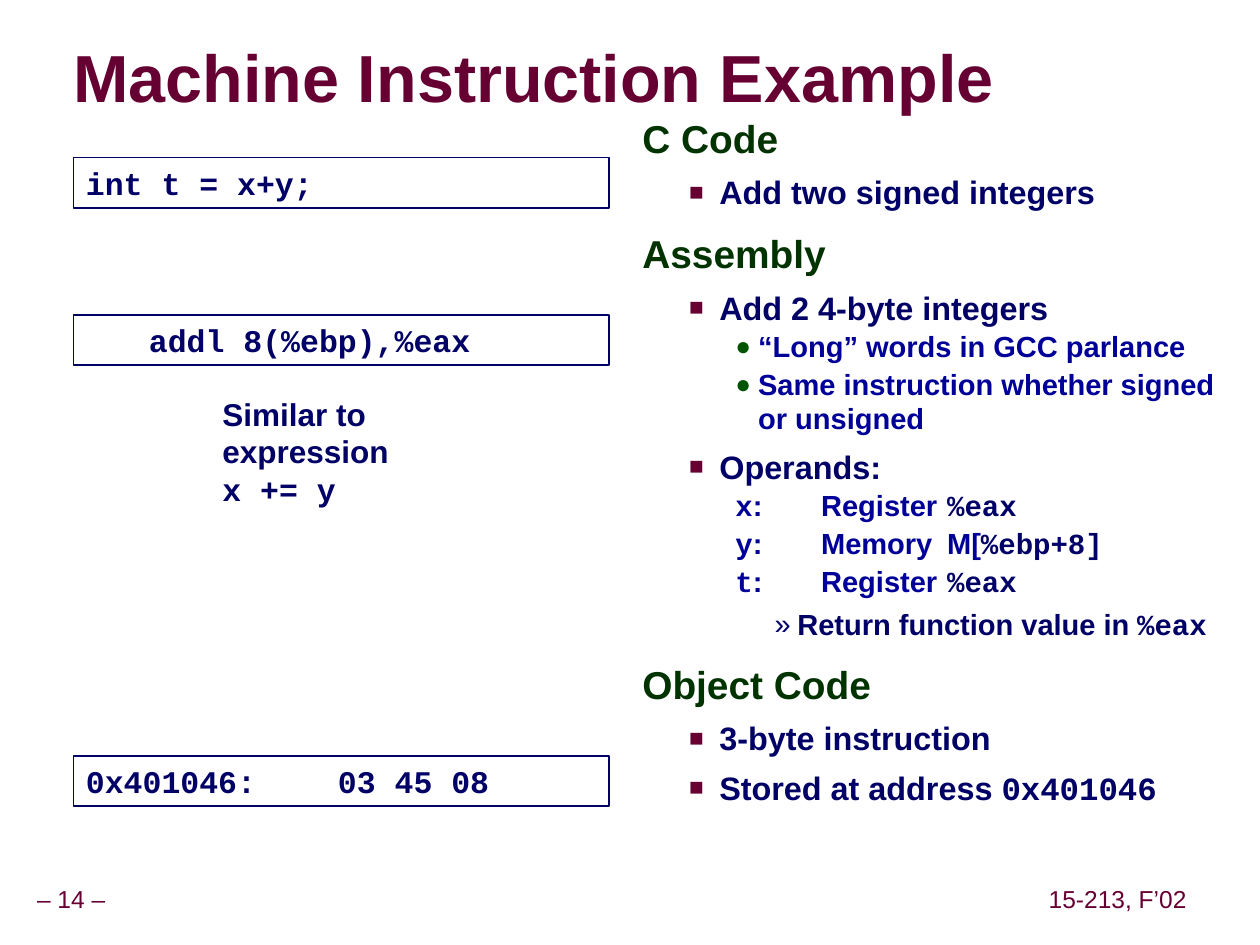
from dataclasses import dataclass

from lxml import etree
from pptx import Presentation
from pptx.dml.color import RGBColor
from pptx.enum.shapes import MSO_SHAPE
from pptx.enum.text import MSO_ANCHOR, PP_ALIGN
from pptx.oxml.ns import qn
from pptx.util import Pt

RECTANGLE = MSO_SHAPE.RECTANGLE
TOP, MIDDLE = MSO_ANCHOR.TOP, MSO_ANCHOR.MIDDLE
LEFT, CENTER = PP_ALIGN.LEFT, PP_ALIGN.CENTER


@dataclass(frozen=True)
class Theme:
    """Fonts, colours and type sizes of the slide."""
    sans: str = "Arial"
    mono: str = "Courier New"
    maroon: str = "660033"
    navy: str = "000066"
    blue: str = "000099"
    dark_green: str = "003300"
    green: str = "005400"
    shadow: str = "969696"
    title: float = 38
    heading: float = 22.2
    point: float = 18.5
    detail: float = 16.6
    code: float = 18
    footer: float = 14


@dataclass(frozen=True)
class Level:
    """Look of one outline level, with lengths in points."""
    size: float
    color: str
    margin: float
    hanging: float
    before: float
    spacing: float = 1.0
    bullet: str = ""
    bullet_color: str = ""
    bullet_percent: int = 100
    tabs: tuple = ()


THEME = Theme()
HEADING = Level(THEME.heading, THEME.dark_green, 17.3, 17.3, 15, 0.85)
POINT = Level(THEME.point, THEME.navy, 44, 17.3, 6.2, 1, "■", THEME.maroon, 75)
DETAIL = Level(THEME.detail, THEME.blue, 66.2, 13, 2.2, 0.97, "●", THEME.green, 90)
OPERAND = Level(THEME.detail, THEME.blue, 66.2, 13, 2.2, 0.97, tabs=(138.2, 210.2))
NOTE = Level(THEME.detail, THEME.navy, 88.6, 13, 4.5, 1, "»", THEME.navy)

OUTLINE = [
    (HEADING, ["C Code"]),
    (POINT, ["Add two signed integers"]),
    (HEADING, ["Assembly"]),
    (POINT, ["Add 2 4-byte integers"]),
    (DETAIL, ["“Long” words in GCC parlance"]),
    (DETAIL, ["Same instruction whether signed or unsigned"]),
    (POINT, ["Operands:"]),
    (OPERAND, [("x", THEME.blue), ":\tRegister\t", ("%eax", THEME.navy)]),
    (OPERAND, [("y", THEME.blue), ":\tMemory\tM[", ("%ebp+8]", THEME.navy)]),
    (OPERAND, [("t", THEME.blue), ":\tRegister\t", ("%eax", THEME.navy)]),
    (NOTE, ["Return function value in ", ("%eax", THEME.navy)]),
    (HEADING, ["Object Code"]),
    (POINT, ["3-byte instruction"]),
    (POINT, ["Stored at address ", ("0x401046", THEME.navy)]),
]

CODE_BOXES = [
    (90, "int t = x+y;", ()),
    (180, "\taddl 8(%ebp),%eax", (36,)),
    (432, "0x401046:\t03 45 08", (144,)),
]


def add_child(parent, tag, **attributes):
    """Append a DrawingML element to parent and return it."""
    child = etree.SubElement(parent, qn(tag))
    for key, value in attributes.items():
        child.set(key, str(value))
    return child


def add_run(paragraph, text, size, color, font=THEME.sans, bold=True, shadow=False):
    """Append one formatted run."""
    run = paragraph.add_run()
    run.text = text
    run.font.size = Pt(size)
    run.font.bold = bold
    run.font.color.rgb = RGBColor.from_string(color)
    if shadow:
        effects = add_child(run.font._element, "a:effectLst")
        cast = add_child(effects, "a:outerShdw", dist=Pt(3), dir=2700000)
        add_child(cast, "a:srgbClr", val=THEME.shadow)
    run.font.name = font


def add_tabs(paragraph, positions):
    """Set left tab stops at the given points."""
    if positions:
        stops = add_child(paragraph._p.get_or_add_pPr(), "a:tabLst")
        for position in positions:
            add_child(stops, "a:tab", pos=Pt(position), algn="l")


def format_level(paragraph, level):
    """Apply indent, bullet, tabs and line spacing of a level."""
    properties = paragraph._p.get_or_add_pPr()
    properties.set("marL", str(Pt(level.margin)))
    properties.set("indent", str(-Pt(level.hanging)))
    if level.bullet:
        tint = add_child(properties, "a:buClr")
        add_child(tint, "a:srgbClr", val=level.bullet_color)
        add_child(properties, "a:buSzPct", val=level.bullet_percent * 1000)
        add_child(properties, "a:buFont", typeface=THEME.sans)
        add_child(properties, "a:buChar", char=level.bullet)
    else:
        add_child(properties, "a:buNone")
    add_tabs(paragraph, level.tabs)
    paragraph.line_spacing = level.spacing


def set_frame(frame, inset_x=7.2, inset_y=3.6, anchor=TOP, wrap=True):
    """Set insets, anchor and wrapping, and return the first paragraph."""
    frame.margin_left = frame.margin_right = Pt(inset_x)
    frame.margin_top = frame.margin_bottom = Pt(inset_y)
    frame.vertical_anchor = anchor
    frame.word_wrap = wrap
    return frame.paragraphs[0]


def add_text_box(slide, left, top, width, height, **layout):
    """Add a text box and return its first paragraph."""
    box = slide.shapes.add_textbox(Pt(left), Pt(top), Pt(width), Pt(height))
    return set_frame(box.text_frame, **layout)


def add_title(slide, text):
    """Add the shadowed slide title."""
    title = add_text_box(slide, 42, 24, 572, 45, inset_x=0, inset_y=0, anchor=MIDDLE)
    title.line_spacing = 0.87
    add_run(title, text, THEME.title, THEME.maroon, shadow=True)


def add_footer(slide, left, width, text):
    """Add a centred footer text."""
    footer = add_text_box(slide, left, 503.5, width, 22.3,
                          inset_x=3.6, anchor=MIDDLE, wrap=False)
    footer.alignment = CENTER
    footer.line_spacing = 0.9
    add_run(footer, text, THEME.footer, THEME.maroon, bold=False)


def add_code_box(slide, top, code, tabs):
    """Add an outlined box with one line of code."""
    box = slide.shapes.add_shape(RECTANGLE, Pt(42), Pt(top), Pt(306), Pt(28.8))
    box.shadow.inherit = False
    box.fill.background()
    box.line.color.rgb = RGBColor.from_string(THEME.navy)
    box.line.width = Pt(1)
    line = set_frame(box.text_frame)
    line.alignment = LEFT
    add_tabs(line, tabs)
    add_run(line, code, THEME.code, THEME.navy, THEME.mono)


def add_outline(slide):
    """Add the explanations; a (text, colour) pair is a piece of code."""
    paragraph = add_text_box(slide, 360, 66, 360, 432)
    for index, (level, pieces) in enumerate(OUTLINE):
        if index:
            paragraph = paragraph._parent.add_paragraph()
        format_level(paragraph, level)
        if index:
            paragraph.space_before = Pt(level.before)
        for piece in pieces:
            if isinstance(piece, tuple):
                code, color = piece
                add_run(paragraph, code, level.size, color, THEME.mono)
            else:
                add_run(paragraph, piece, level.size, level.color)


def main():
    """Build and save the slide."""
    deck = Presentation()
    deck.slide_width, deck.slide_height = Pt(720), Pt(540)
    slide = deck.slides.add_slide(deck.slide_layouts[6])
    add_footer(slide, -6.5, 94.3, "– 14 –")
    add_footer(slide, 595.5, 86.4, "15-213, F’02")
    add_title(slide, "Machine Instruction Example")
    add_outline(slide)
    for top, code, tabs in CODE_BOXES:
        add_code_box(slide, top, code, tabs)
    similar = add_text_box(slide, 120, 222, 120, 72)
    add_run(similar, "Similar to expression", THEME.code, THEME.navy)
    add_run(similar, " x += y", THEME.code, THEME.navy, THEME.mono)
    deck.save("out.pptx")


if __name__ == "__main__":
    main()
